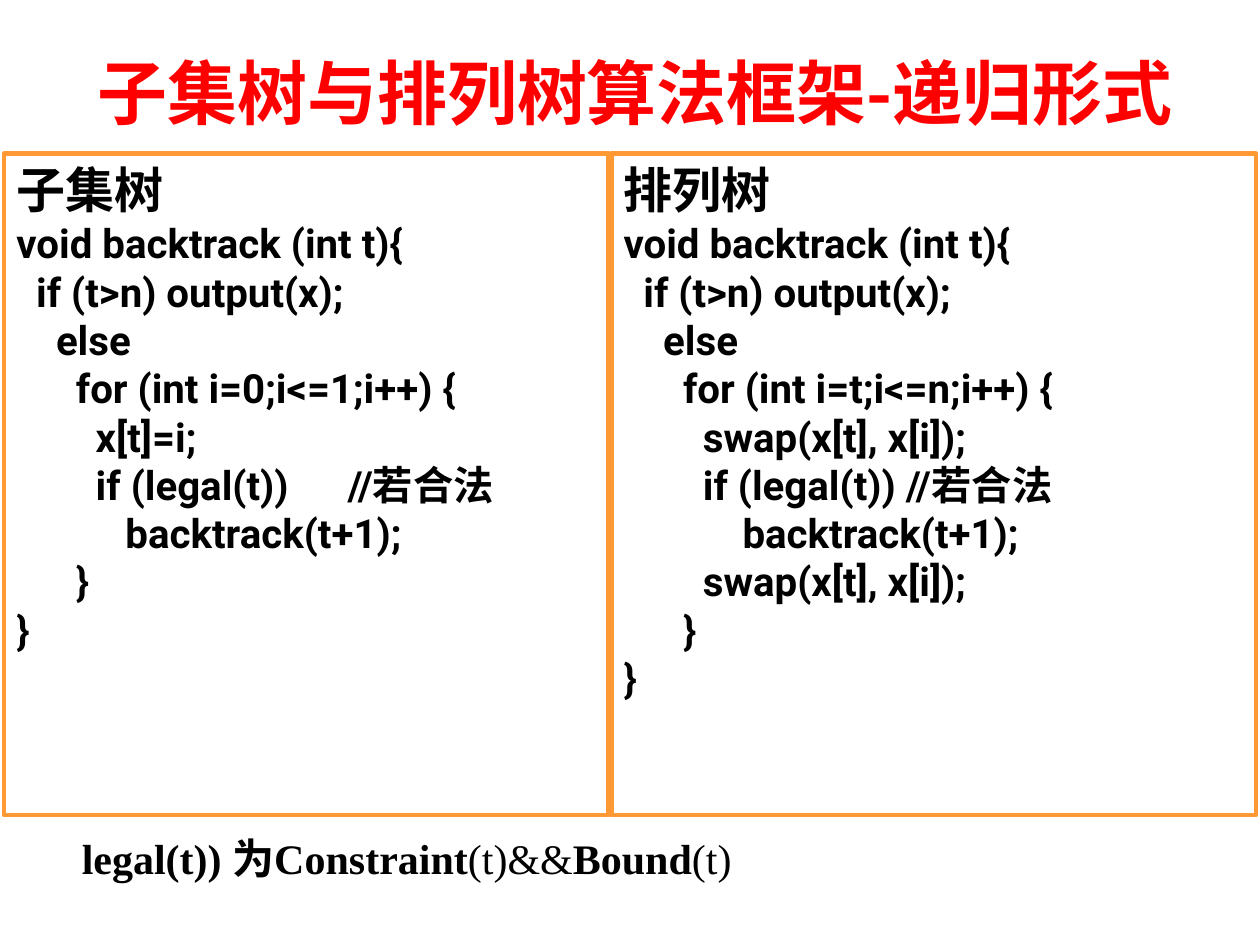
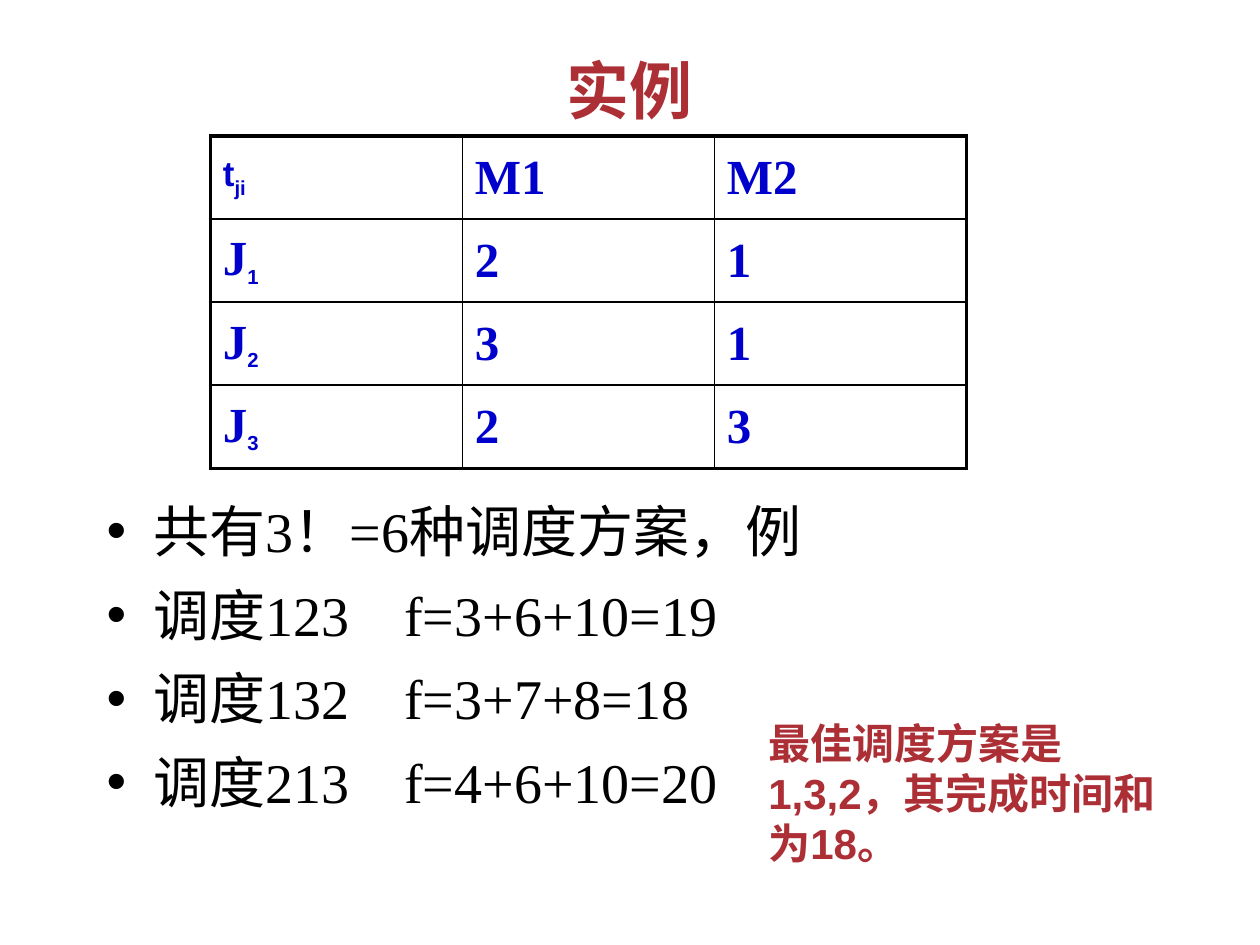
from lxml import etree
from pptx import Presentation
from pptx import util as u
from pptx.dml.color import RGBColor
from pptx.enum import shapes, text
from pptx.oxml import ns

RED, CRIMSON, ORANGE, BLUE, BLACK = "FF0000", "AC2F36", "FF9933", "0000CC", "000000"
SERIF, SANS, CODE, CJK = "Times New Roman", "Arial", "Roboto", "Noto Sans CJK SC"
HANG = 0.95
SPACE = 0.2

SUBSET_CODE = [
    (0, "void backtrack (int t){"),
    (2, "if (t>n) output(x);"),
    (4, "else"),
    (6, "for (int i=0;i<=1;i++) {"),
    (8, "x[t]=i;"),
    (8, "if (legal(t))\t//若合法"),
    (11, "backtrack(t+1);"),
    (6, "}"),
    (0, "}"),
]
PERMUTATION_CODE = [
    (0, "void backtrack (int t){"),
    (2, "if (t>n) output(x);"),
    (4, "else"),
    (6, "for (int i=t;i<=n;i++) {"),
    (8, "swap(x[t], x[i]);"),
    (8, "if (legal(t)) //若合法"),
    (12, "backtrack(t+1);"),
    (8, "swap(x[t], x[i]);"),
    (6, "}"),
    (0, "}"),
]
TIMES = [("M1", "M2"), ("2", "1"), ("3", "1"), ("2", "3")]
SCHEDULES = [
    "共有3！=6种调度方案，例",
    "调度123\tf=3+6+10=19",
    "调度132\tf=3+7+8=18",
    "调度213\tf=4+6+10=20",
]


def color(value):
    return RGBColor.from_string(value)


def apply(target, **values):
    for name, value in values.items():
        setattr(target, name, value)


def add(parent, tag, **attrs):
    return etree.SubElement(parent, ns.qn(tag), attrs)


class Deck:
    def __init__(self):
        self.prs = Presentation()
        apply(self.prs, slide_width=u.Cm(25.4), slide_height=u.Cm(19.05))
        self.s = None

    def slide(self):
        self.s = self.prs.slides.add_slide(self.prs.slide_layouts[6])

    def run(self, p, words, size, font, tint=BLACK, bold=False, base=None):
        r = p.add_run()
        r.text = words
        apply(r.font, size=u.Pt(size), name=font, bold=bold)
        r.font.color.rgb = color(tint)
        rPr = r.font._element
        add(rPr, "a:ea", typeface=CJK)
        if base:
            rPr.set("baseline", str(base * 1000))

    def indent(self, p, left, first=0.0, tab=None, bullet=False):
        pPr = p._p.get_or_add_pPr()
        pPr.set("marL", str(u.Cm(left)))
        pPr.set("indent", str(u.Cm(first)))
        if bullet:
            add(pPr, "a:buFont", typeface=SANS)
            add(pPr, "a:buChar", char="•")
        if tab:
            add(add(pPr, "a:tabLst"), "a:tab", pos=str(u.Cm(tab)), algn="l")

    def box(self, x, y, w, h, wrap=True, anchor=text.MSO_ANCHOR.TOP):
        sp = self.s.shapes.add_textbox(u.Cm(x), u.Cm(y), u.Cm(w), u.Cm(h))
        tf = sp.text_frame
        apply(tf, word_wrap=wrap, vertical_anchor=anchor)
        return tf.paragraphs[0]

    def title(self, words, x, y, w, h, size, font, tint, spacing=1.0):
        p = self.box(x, y, w, h, anchor=text.MSO_ANCHOR.MIDDLE)
        apply(p, alignment=text.PP_ALIGN.CENTER, line_spacing=spacing)
        self.run(p, words, size, font, tint, True)

    def code_panel(self, x, w, heading, lines):
        sp = self.s.shapes.add_shape(
            shapes.MSO_SHAPE.RECTANGLE, u.Cm(x), u.Cm(3.1), u.Cm(w), u.Cm(13.33))
        sp.shadow.inherit = False
        sp.fill.background()
        sp.line.color.rgb = color(ORANGE)
        sp.line.width = u.Pt(2.75)
        tf = sp.text_frame
        apply(tf, word_wrap=True, vertical_anchor=text.MSO_ANCHOR.TOP)
        p = tf.paragraphs[0]
        p.alignment = text.PP_ALIGN.LEFT
        self.run(p, heading, 28, SERIF, bold=True)
        for depth, words in lines:
            p = tf.add_paragraph()
            p.alignment = text.PP_ALIGN.LEFT
            self.indent(p, depth * SPACE, tab=6.1 if "\t" in words else None)
            self.run(p, words, 23, CODE, bold=True)

    def bullet(self, words, x, y, w, h):
        p = self.box(x, y, w, h)
        p.space_before = u.Pt(6.4)
        self.indent(p, HANG, -HANG, 6.0 if "\t" in words else None, True)
        self.run(p, words, 32, SERIF)

    def border(self, cell, row, col, rows, cols):
        tcPr = cell._tc.get_or_add_tcPr()
        outer = {"L": col == 0, "R": col == cols - 1, "T": row == 0, "B": row == rows - 1}
        for i, (side, edge) in enumerate(outer.items()):
            ln = etree.Element(ns.qn(f"a:ln{side}"), w=str(u.Pt(2.25 if edge else 1)))
            add(add(ln, "a:solidFill"), "a:srgbClr", val=BLACK)
            tcPr.insert(i, ln)

    def table(self, x, y, w, h, rows):
        count, width = len(rows), len(rows[0]) + 1
        table = self.s.shapes.add_table(
            count, width, u.Cm(x), u.Cm(y), u.Cm(w), u.Cm(h)).table
        apply(table, first_row=False, horz_banding=False)
        for i, values in enumerate(rows):
            label = [("J", 28, SERIF), (str(i), 20, SANS, -25)]
            if i == 0:
                label = [("t", 20, SANS), ("ji", 20, SANS, -25)]
            for j, parts in enumerate([label] + [[(v, 28, SERIF)] for v in values]):
                cell = table.cell(i, j)
                cell.fill.background()
                cell.vertical_anchor = text.MSO_ANCHOR.MIDDLE
                self.border(cell, i, j, count, width)
                p = cell.text_frame.paragraphs[0]
                p.space_before = u.Pt(parts[0][1] * 0.2)
                for words, size, font, *base in parts:
                    self.run(p, words, size, font, BLUE, True, *base)


def main():
    d = Deck()

    d.slide()
    d.title("子集树与排列树算法框架-递归形式", 1.27, 1, 23.06, 2.1, 40, CJK, RED, 0.7)
    d.code_panel(0.08, 12.19, "子集树", SUBSET_CODE)
    d.code_panel(12.32, 13, "排列树", PERMUTATION_CODE)
    p = d.box(1.4, 16.66, 14.25, 1.3, wrap=False)
    for words, bold in [("legal(t)) 为Constraint", True), ("(t)&&", False),
                        ("Bound", True), ("(t)", False)]:
        d.run(p, words, 24, SERIF, bold=bold)

    d.slide()
    d.title("实例", 1.9, 0.64, 21.6, 2.34, 36, SANS, CRIMSON)
    d.table(4.24, 2.74, 15.24, 6.7, TIMES)
    for i, words in enumerate(SCHEDULES):
        d.bullet(words, 1.9, 9.88 + i * 1.69, 13.33 if i else 21.6, 1.69)
    p = d.box(15.24, 14.33, 8.69, 2.31)
    d.run(p, "最佳调度方案是1,3,2，其完成时间和为18。", 24, SANS, CRIMSON, True)

    d.prs.save("out.pptx")


if __name__ == "__main__":
    main()
